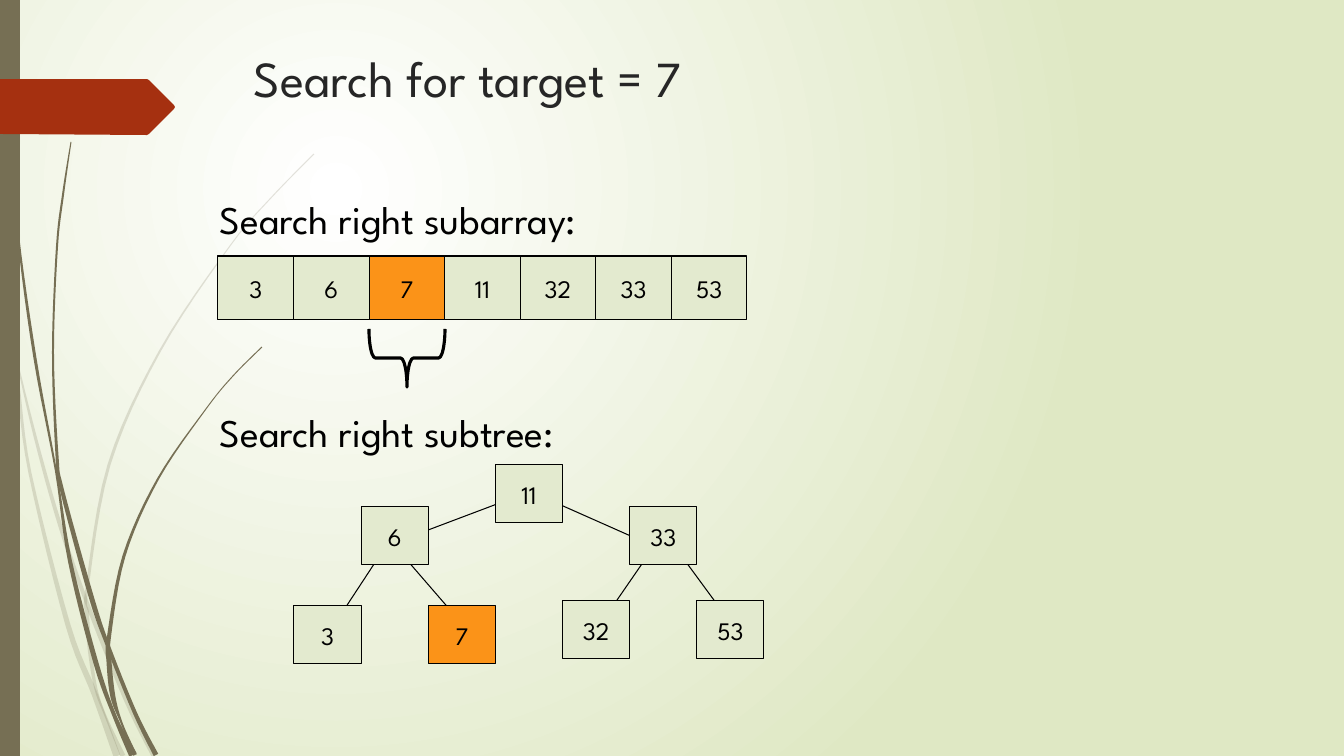
"""Build a slide that compares a binary search in an array with one in a tree."""
from dataclasses import dataclass
from math import hypot
from typing import NamedTuple

from lxml import etree
from pptx import Presentation
from pptx.dml.color import RGBColor
from pptx.enum.shapes import MSO_CONNECTOR, MSO_SHAPE
from pptx.enum.text import MSO_ANCHOR, PP_ALIGN
from pptx.oxml.ns import qn
from pptx.util import Pt

RECT, BRACE = MSO_SHAPE.RECTANGLE, MSO_SHAPE.LEFT_BRACE
STRAIGHT = MSO_CONNECTOR.STRAIGHT
MIDDLE, CENTER = MSO_ANCHOR.MIDDLE, PP_ALIGN.CENTER
PX = 12192000 / 1344


@dataclass(frozen=True)
class Theme:
    font: str = "League Spartan"
    title_pt: int = 36
    label_pt: int = 28
    key_pt: int = 18
    thin_pt: float = 0.75
    thick_pt: float = 2.25
    black: str = "000000"
    title: str = "262626"
    key: str = "E3EACF"
    target: str = "FB9318"
    stem: str = "766F54"
    pennant: str = "A53010"
    glow: str = "FFFFFF"
    field: str = "DFE8C4"


class Label(NamedTuple):
    text: str
    x: int
    y: int
    w: int
    h: int
    size: int
    color: str


class KeyRow(NamedTuple):
    left: int
    width: int
    height: int
    tops: list[int]


class Edge(NamedTuple):
    x1: int
    y1: int
    x2: int
    y2: int


class Node(NamedTuple):
    x: float
    y: float
    width: float


class Blade(NamedTuple):
    opacity: int
    nodes: list[tuple[int, int, int]]


T = Theme()
KEYS = [3, 6, 7, 11, 32, 33, 53]
TARGET = 7
ARRAY = KeyRow(218, 529, 64, [256] * 7)
TREE = KeyRow(294, 470, 58, [606, 507, 606, 465, 601, 507, 601])
EDGES = [
    Edge(513, 498, 407, 538), Edge(545, 498, 651, 545),
    Edge(382, 552, 338, 619), Edge(400, 552, 464, 626),
    Edge(664, 532, 595, 632), Edge(664, 532, 733, 626),
]
LABELS = [
    Label("Search right subarray:", 210, 190, 697, 57, T.label_pt, T.black),
    Label("Search for target = 7", 244, 42, 857, 126, T.title_pt, T.title),
    Label("Search right subtree:", 210, 403, 415, 57, T.label_pt, T.black),
]
BLADES = [
    Blade(20, [(0, 293, 3), (11, 350, 2), (18, 385, 3), (30, 473, 3),
               (68, 625, 5), (95, 695, 6), (117, 756, 7)]),
    Blade(20, [(14, 348, 1), (35, 436, 3), (60, 525, 4), (87, 603, 4),
               (126, 699, 5), (154, 756, 5)]),
    Blade(20, [(314, 154, 1), (270, 199, 1), (230, 246, 1), (160, 351, 2),
               (109, 465, 3), (87, 589, 3), (87, 613, 4), (90, 651, 4),
               (96, 689, 3), (106, 717, 2), (123, 756, 5)]),
    Blade(100, [(4, 0, 1), (8, 111, 1), (18, 234, 2), (35, 358, 3),
                (56, 471, 2), (70, 561, 4), (96, 663, 5), (115, 717, 4),
                (133, 755, 8)]),
    Blade(100, [(71, 142, 1), (63, 195, 2), (57, 247, 2), (53, 352, 2),
                (57, 455, 3), (62, 490, 4), (91, 596, 5), (108, 646, 4),
                (135, 713, 4), (156, 755, 5)]),
    Blade(100, [(262, 347, 1), (233, 376, 1), (206, 409, 1), (158, 479, 2),
                (124, 556, 3), (109, 637, 4), (109, 661, 5), (113, 697, 5),
                (122, 724, 2), (135, 755, 4)]),
]
PENNANT = [(0, 79), (147, 79), (149, 80), (174, 105), (175, 107),
           (174, 109), (149, 134), (147, 135), (0, 134)]


def px(*lengths: float) -> list[int]:
    return [round(v * PX) for v in lengths]


def rgb(color: str) -> RGBColor:
    return RGBColor.from_string(color)


def paint(sp, color: str, line: str | None = None) -> None:
    sp.shadow.inherit = False
    sp.fill.solid()
    sp.fill.fore_color.rgb = rgb(color)
    if line:
        sp.line.color.rgb = rgb(line)
        sp.line.width = Pt(T.thin_pt)
    else:
        sp.line.fill.background()


def write(sp, text: str, size: int, color: str):
    tf = sp.text_frame
    tf.text = text
    font = tf.paragraphs[0].runs[0].font
    font.name, font.size, font.color.rgb = T.font, Pt(size), rgb(color)
    return tf


def add_background(s) -> None:
    fill = s.background.fill
    fill.gradient()
    for stop, color, position in zip(fill.gradient_stops, (T.glow, T.field), (0, 1)):
        stop.color.rgb, stop.position = rgb(color), position
    grad = next(s.element.iter(qn("a:gradFill")))
    grad.remove(grad.find(qn("a:lin")))
    circle = etree.SubElement(grad, qn("a:path"), {"path": "circle"})
    rect = {"l": "50000", "t": "50000", "r": "100000", "b": "100000"}
    etree.SubElement(circle, qn("a:fillToRect"), rect)


def add_outline(s, points: list[tuple[float, float]], color: str):
    start, *rest = [tuple(px(*point)) for point in points]
    builder = s.shapes.build_freeform(*start)
    builder.add_line_segments(rest, close=True)
    sp = builder.convert_to_shape()
    paint(sp, color)
    return sp


def smooth(nodes: list[tuple[int, int, int]], steps: int = 6) -> list[Node]:
    ends = [nodes[0], *nodes, nodes[-1]]
    curve = []
    for a, b, c, d in zip(ends, ends[1:], ends[2:], ends[3:]):
        for t in (i / steps for i in range(steps)):
            curve.append(Node(*(
                q + t * (r - p + t * (2*p - 5*q + 4*r - u + t * (3*q - p - 3*r + u))) / 2
                for p, q, r, u in zip(a, b, c, d))))
    return [*curve, Node(*nodes[-1])]


def add_blade(s, blade: Blade) -> None:
    curve = smooth(blade.nodes)
    left, right = [], []
    for before, n, after in zip([curve[0], *curve], curve, [*curve[1:], curve[-1]]):
        dx, dy = after.x - before.x, after.y - before.y
        half = n.width / 2 / hypot(dx, dy)
        left.append((n.x + dy * half, n.y - dx * half))
        right.append((n.x - dy * half, n.y + dx * half))
    sp = add_outline(s, left + right[::-1], T.stem)
    clr = next(sp.element.spPr.iter(qn("a:srgbClr")))
    etree.SubElement(clr, qn("a:alpha"), {"val": str(blade.opacity * 1000)})


def add_label(s, label: Label) -> None:
    sp = s.shapes.add_textbox(*px(label.x, label.y, label.w, label.h))
    write(sp, label.text, label.size, label.color).word_wrap = True


def add_keys(s, row: KeyRow) -> None:
    step = row.width / len(KEYS)
    for i, (key, top) in enumerate(zip(KEYS, row.tops)):
        sp = s.shapes.add_shape(RECT, *px(row.left + i * step, top, step, row.height))
        paint(sp, T.target if key == TARGET else T.key, T.black)
        tf = write(sp, str(key), T.key_pt, T.black)
        tf.word_wrap, tf.vertical_anchor = False, MIDDLE
        tf.paragraphs[0].alignment = CENTER


def add_edge(s, edge: Edge) -> None:
    line = s.shapes.add_connector(STRAIGHT, *px(*edge))
    line.line.color.rgb, line.line.width = rgb(T.black), Pt(T.thin_pt)
    etree.SubElement(line.element.spPr, qn("a:effectLst"))


def add_brace(s) -> None:
    sp = s.shapes.add_shape(BRACE, *px(378, 320, 58, 76))
    sp.rotation, sp.shadow.inherit = 270, False
    sp.adjustments[0] = 0.11
    sp.fill.background()
    sp.line.color.rgb, sp.line.width = rgb(T.black), Pt(T.thick_pt)


prs = Presentation()
prs.slide_width, prs.slide_height = px(1344, 756)
s = prs.slides.add_slide(prs.slide_layouts[6])
add_background(s)
for blade in BLADES:
    add_blade(s, blade)
paint(s.shapes.add_shape(RECT, *px(0, 0, 20, 756)), T.stem)
add_outline(s, PENNANT, T.pennant)
for label in LABELS:
    add_label(s, label)
add_keys(s, ARRAY)
for edge in EDGES:
    add_edge(s, edge)
add_keys(s, TREE)
add_brace(s)
prs.save("out.pptx")
